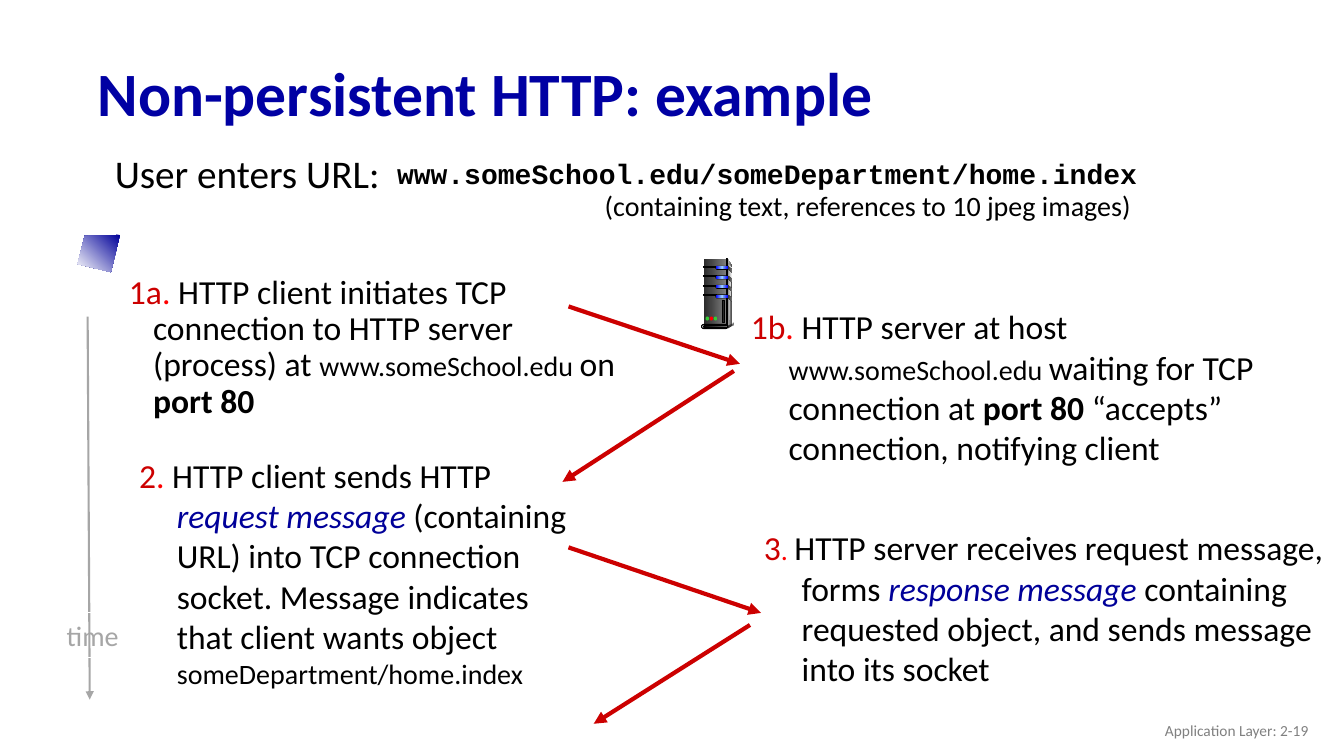
from copy import deepcopy

from pptx import Presentation
from pptx.dml.color import RGBColor
from pptx.enum.shapes import MSO_CONNECTOR, MSO_SHAPE
from pptx.enum.text import MSO_ANCHOR, PP_ALIGN
from pptx.oxml.ns import qn
from pptx.oxml.xmlchemy import OxmlElement
from pptx.util import Pt

NAVY = RGBColor(0x00, 0x00, 0xA3)
INK = RGBColor(0x00, 0x00, 0x99)
RED = RGBColor(0xCC, 0x00, 0x00)
BRIGHT = RGBColor(0xFF, 0x00, 0x00)
BLACK = RGBColor(0x00, 0x00, 0x00)
WHITE = RGBColor(0xFF, 0xFF, 0xFF)
SILVER = RGBColor(0xA6, 0xA6, 0xA6)
GREY = RGBColor(0x80, 0x80, 0x80)
DARK = RGBColor(0x33, 0x33, 0x33)
COAL = RGBColor(0x29, 0x29, 0x29)
PALE = RGBColor(0xDD, 0xDD, 0xDD)
SNOW = RGBColor(0xF8, 0xF8, 0xF8)
BLUE = RGBColor(0x00, 0x00, 0xFF)
SKY = RGBColor(0x99, 0xCC, 0xFF)
GREEN = RGBColor(0x33, 0xCC, 0x33)

RECT, ROUND, OVAL = MSO_SHAPE.RECTANGLE, MSO_SHAPE.ROUNDED_RECTANGLE, MSO_SHAPE.OVAL
SHADE = (COAL, GREY)


def set_font(font, size=None, color=None, bold=None, italic=None):
    if size:
        font.size = Pt(size)
    if color is not None:
        font.color.rgb = color
    if bold:
        font.bold = True
    if italic:
        font.italic = True


def add_text(slide, box, runs, size, color=BLACK, name="Calibri", bold=None,
             indent=None, spacing=None, align=None, anchor=MSO_ANCHOR.TOP):
    """Each run is a text, or a text with the font settings that differ."""
    frame = slide.shapes.add_textbox(*map(Pt, box)).text_frame
    frame.word_wrap = True
    frame.vertical_anchor = anchor
    para = frame.paragraphs[0]
    if indent:
        left, first = indent
        props = para._p.get_or_add_pPr()
        props.set("marL", str(Pt(left)))
        props.set("indent", str(Pt(first)))
    if spacing:
        para.line_spacing = spacing
    if align:
        para.alignment = align
    para.font.name = name
    set_font(para.font, size, color, bold)
    for item in runs:
        text, look = (item, {}) if isinstance(item, str) else item
        run = para.add_run()
        run.text = text
        set_font(run.font, **look)


def add_arrow(slide, start, end, color, width):
    line = slide.shapes.add_connector(
        MSO_CONNECTOR.STRAIGHT, *map(Pt, start + end))
    line.line.color.rgb = color
    line.line.width = Pt(width)
    tail = OxmlElement("a:tailEnd")
    tail.set("type", "triangle")
    line.line._get_or_add_ln().append(tail)
    line._element.spPr.append(OxmlElement("a:effectLst"))


def paint(shape, colors, edge=None, angle=0):
    """One colour fills solid, several make an even gradient."""
    shape.shadow.inherit = False
    if len(colors) == 1:
        shape.fill.solid()
        shape.fill.fore_color.rgb = colors[0]
    else:
        shape.fill.gradient()
        stops = shape._element.spPr.find(qn("a:gradFill")).find(qn("a:gsLst"))
        for _ in colors[2:]:
            stops.append(deepcopy(stops[0]))
        shape.fill.gradient_angle = angle
        for i, (stop, color) in enumerate(zip(shape.fill.gradient_stops, colors)):
            stop.color.rgb = color
            stop.position = i / (len(colors) - 1)
    if edge is None:
        shape.line.fill.background()
    else:
        shape.line.color.rgb = edge
        shape.line.width = Pt(0.75)


def add_block(slide, kind, box, colors, edge=None):
    shape = slide.shapes.add_shape(kind, *map(Pt, box))
    if kind == ROUND:
        shape.adjustments[0] = 0.5
    paint(shape, colors, edge)


def add_poly(slide, points, colors, angle=0):
    first, *rest = [(Pt(x), Pt(y)) for x, y in points]
    pen = slide.shapes.build_freeform(*first)
    pen.add_line_segments(rest, close=True)
    paint(pen.convert_to_shape(), colors, angle=angle)


def add_server(slide):
    # Case
    add_poly(slide, [(519.8, 185), (523.4, 190.8), (523.4, 231.1), (519.1, 233.3)],
             (PALE, DARK))
    add_block(slide, RECT, (502.6, 185, 16.6, 48.2), SHADE)
    add_poly(slide, [(519.8, 187.9), (522.7, 191.5), (520.6, 231.8), (519.8, 231.8)],
             (GREY, SNOW))
    add_block(slide, RECT, (519.1, 185, 0.7, 48.2), (DARK, PALE, DARK), BLACK)
    # Drive bays
    for i in range(4):
        top = 190.1 + 6.8 * i
        add_block(slide, RECT, (502.6, top, 9.4, 0.7), (BLACK,), BLACK)
        add_block(slide, ROUND, (511, top - 0.2, 9.4, 2.9), (BLACK,))
        add_block(slide, ROUND, (511.4, top, 8.6, 2.2), (BLUE, SKY, BLUE))
        add_poly(slide, [(519.8, top), (523.4, top + 2.9), (523.4, top + 5),
                         (519.8, top + 2.2)], SHADE)
    # Foot, lights and bar
    add_block(slide, OVAL, (523.4, 230.4, 0.7, 2.2), (DARK,))
    add_poly(slide, [(519.8, 232.6), (519.8, 234.7), (523.4, 232.6), (523.4, 231.1)],
             (DARK,))
    add_block(slide, ROUND, (501.1, 231.8, 18.7, 2.9), (PALE,), BLACK)
    add_block(slide, ROUND, (502.6, 232.6, 17.3, 1.4), (BLACK, GREY), BLACK)
    for i, color in enumerate((GREEN, BRIGHT, GREEN)):
        add_block(slide, OVAL, (504 + 2.9 * i, 226.1, 2.5, 2.9), (color,))
    add_block(slide, RECT, (516.2, 214.6, 1.4, 15.8), (COAL,), BLACK)


def add_label(slide, box, text):
    shape = slide.shapes.add_shape(RECT, *map(Pt, box))
    shape.shadow.inherit = False
    shape.fill.background()
    shape.line.color.rgb = WHITE
    shape.line.width = Pt(0.75)
    shape.text_frame.word_wrap = False
    para = shape.text_frame.paragraphs[0]
    para.alignment = PP_ALIGN.CENTER
    para.font.name = "Calibri"
    set_font(para.font, 20, SILVER)
    run = para.add_run()
    run.text = text
    set_font(run.font, color=SILVER)


def main():
    deck = Presentation()
    deck.slide_width, deck.slide_height = Pt(960), Pt(540)
    slide = deck.slides.add_slide(deck.slide_layouts[6])
    red, dot = {"color": RED}, {"color": BRIGHT}
    term, bold, small = {"color": INK, "italic": True}, {"bold": True}, {"size": 20}
    near, deep = (28.1, -17.3), (27, -27)

    # Title and address
    add_text(slide, (62.6, 33.8, 828, 70.6), ["Non-persistent HTTP: example"], 44,
             NAVY, bold=True, spacing=0.9, anchor=MSO_ANCHOR.MIDDLE)
    add_text(slide, (64.1, 106.6, 625.7, 36.7), ["User enters URL:"], 28,
             indent=near, spacing=0.9)
    add_text(slide, (276.5, 111.6, 625.7, 36.7),
             ["www.someSchool.edu/someDepartment/home.index"], 20,
             name="Courier New", bold=True, indent=deep, spacing=0.85)
    add_text(slide, (368.6, 131, 502.6, 31.7),
             ["(containing text, references to 10 jpeg images)"], 20,
             align=PP_ALIGN.CENTER)

    # Time axis
    add_arrow(slide, (62.6, 226.1), (64.1, 499.7), SILVER, 1.5)
    add_label(slide, (39.6, 437.8, 53.3, 31.7), "time")

    # Steps
    add_text(slide, (74.2, 193, 381.6, 149.8), [
        ("1a", red), (".", dot),
        " HTTP client initiates TCP connection to HTTP server (process) at ",
        ("www.someSchool.edu ", small), "on ", ("port 80", bold),
    ], 24, indent=near, spacing=0.9)
    add_text(slide, (529.2, 215.3, 424.1, 118.8), [
        ("1b", red), (".", dot), " HTTP server at host ",
        ("www.someSchool.edu ", small), "waiting for TCP connection at ",
        ("port 80 ", bold), "“accepts” connection, notifying client",
    ], 24, indent=deep)
    add_text(slide, (92.2, 321.1, 331.9, 85), [
        ("2", red), (".", dot), " HTTP client sends HTTP ", ("request message", term),
        " (containing URL) into TCP connection socket. "
        "Message indicates that client wants object ",
        ("someDepartment/home.index", small),
    ], 24, indent=deep)
    add_text(slide, (538.6, 373, 424.8, 141.8), [
        ("3", red), (". ", {**dot, **small}),
        "HTTP server receives request message, forms ", ("response message", term),
        " containing requested object, and sends message into its socket",
    ], 24, indent=deep)

    # Messages between client and server
    for start, end in (((406.1, 218.9), (528.5, 259.9)),
                       ((524.2, 265), (401.8, 344.2)),
                       ((406.1, 391), (543.6, 437.8)),
                       ((535.7, 446.4), (424.1, 517))):
        add_arrow(slide, start, end, RED, 3)

    # Client screen and server
    add_poly(slide, [(85.7, 167.8), (60.5, 168.5), (55.4, 188.6), (79.2, 194.4)],
             (INK, WHITE), angle=225)
    add_server(slide)

    # Footer
    add_text(slide, (725.8, 507.6, 216, 28.8), ["Application Layer: 2-19"], 11, GREY,
             align=PP_ALIGN.RIGHT, anchor=MSO_ANCHOR.MIDDLE)
    deck.save("out.pptx")


if __name__ == "__main__":
    main()
